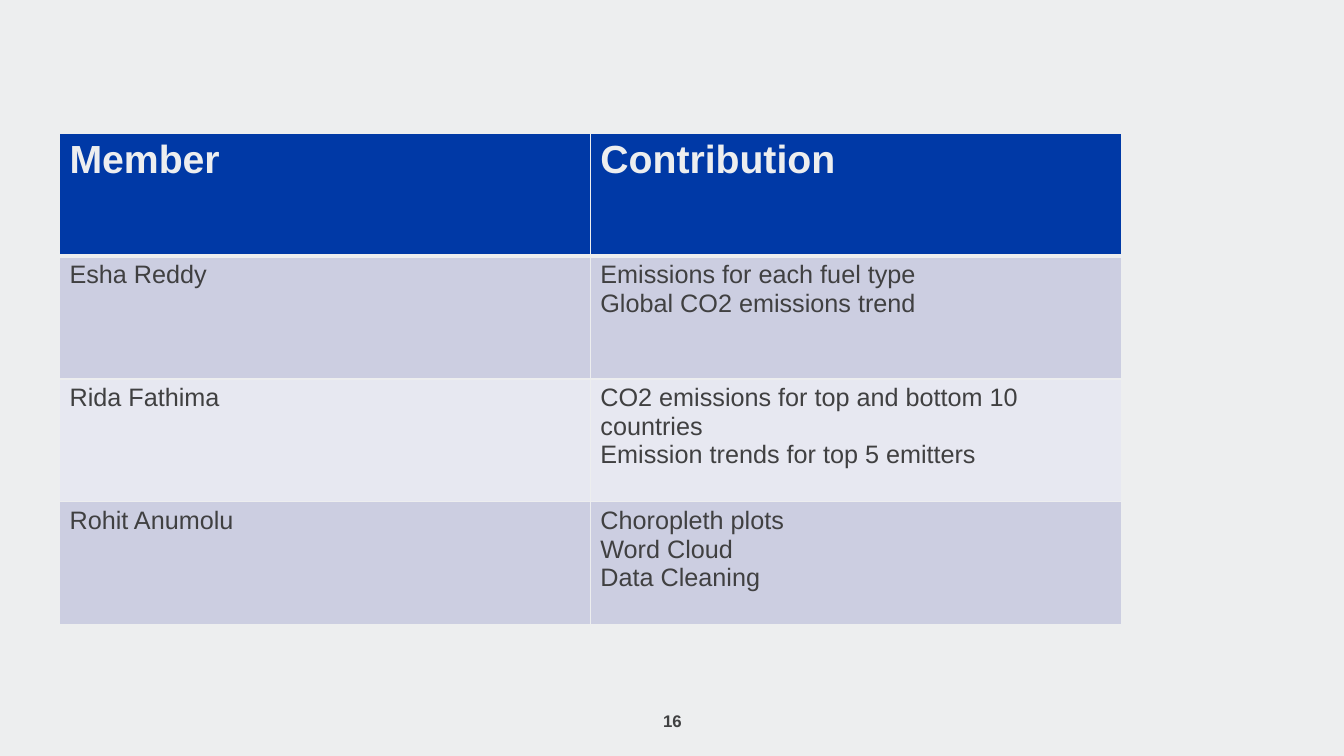
import pptx
import pptx.dml.color
import pptx.enum.text
import pptx.oxml.ns
import pptx.util
from lxml import etree
from pptx.util import Inches

RGBColor = pptx.dml.color.RGBColor
PALE_GREY = RGBColor(0xED, 0xEE, 0xEF)
DARK_GREY = RGBColor(0x40, 0x40, 0x41)
BLUE = RGBColor(0x00, 0x39, 0xA6)
LAVENDER = RGBColor(0xCC, 0xCE, 0xE1)
PALE_LAVENDER = RGBColor(0xE7, 0xE8, 0xF1)

FONT = "Arial"
COLUMN_WIDTH = 5.265
ROW_HEIGHT = 1.22

CONTRIBUTIONS = [
    ("Member", ["Contribution"]),
    ("Esha Reddy", ["Emissions for each fuel type", "Global CO2 emissions trend"]),
    ("Rida Fathima", ["CO2 emissions for top and bottom 10 countries",
                      "Emission trends for top 5 emitters"]),
    ("Rohit Anumolu", ["Choropleth plots", "Word Cloud", "Data Cleaning"]),
]


def add_run(paragraph, text, size, color, bold):
    run = paragraph.add_run()
    run.text = text
    run.font.name = FONT
    run.font.size = pptx.util.Pt(size)
    run.font.bold = bold
    run.font.color.rgb = color


def set_border(cell, side, width):
    qn = pptx.oxml.ns.qn
    properties = cell._tc.get_or_add_tcPr()
    line = etree.SubElement(properties, qn(f"a:ln{side}"), w=str(pptx.util.Pt(width)))
    fill = etree.SubElement(line, qn("a:solidFill"))
    etree.SubElement(fill, qn("a:srgbClr"), val=str(PALE_GREY))


def fill_cell(cell, lines, row_index):
    is_header = row_index == 0
    widths = {"L": 1, "R": 1, "T": 3 if row_index == 1 else 1, "B": 3 if is_header else 1}
    for side, width in widths.items():
        set_border(cell, side, width)
    cell.fill.solid()
    if is_header:
        cell.fill.fore_color.rgb = BLUE
    else:
        cell.fill.fore_color.rgb = LAVENDER if row_index % 2 else PALE_LAVENDER
    for index, text in enumerate(lines):
        frame = cell.text_frame
        paragraph = frame.add_paragraph() if index else frame.paragraphs[0]
        if is_header:
            add_run(paragraph, text, 28, PALE_GREY, True)
        else:
            add_run(paragraph, text, 18, DARK_GREY, False)


def add_contribution_table(slide):
    row_count = len(CONTRIBUTIONS)
    table = slide.shapes.add_table(
        row_count, 2, Inches(0.59), Inches(1.32),
        Inches(2 * COLUMN_WIDTH), Inches(row_count * ROW_HEIGHT)).table
    for column in table.columns:
        column.width = Inches(COLUMN_WIDTH)
    for row_index, (member, tasks) in enumerate(CONTRIBUTIONS):
        table.rows[row_index].height = Inches(ROW_HEIGHT)
        fill_cell(table.cell(row_index, 0), [member], row_index)
        fill_cell(table.cell(row_index, 1), tasks, row_index)


def add_page_number(slide, number):
    box = slide.shapes.add_textbox(Inches(5.17), Inches(6.95), Inches(3), Inches(0.4))
    frame = box.text_frame
    frame.word_wrap = True
    frame.vertical_anchor = pptx.enum.text.MSO_ANCHOR.MIDDLE
    paragraph = frame.paragraphs[0]
    paragraph.alignment = pptx.enum.text.PP_ALIGN.CENTER
    add_run(paragraph, number, 12, DARK_GREY, True)


def main():
    presentation = pptx.Presentation()
    presentation.slide_width = Inches(13.33)
    presentation.slide_height = Inches(7.5)
    slide = presentation.slides.add_slide(presentation.slide_layouts[6])
    slide.background.fill.solid()
    slide.background.fill.fore_color.rgb = PALE_GREY
    add_page_number(slide, "16")
    add_contribution_table(slide)
    presentation.save("out.pptx")


if __name__ == "__main__":
    main()
